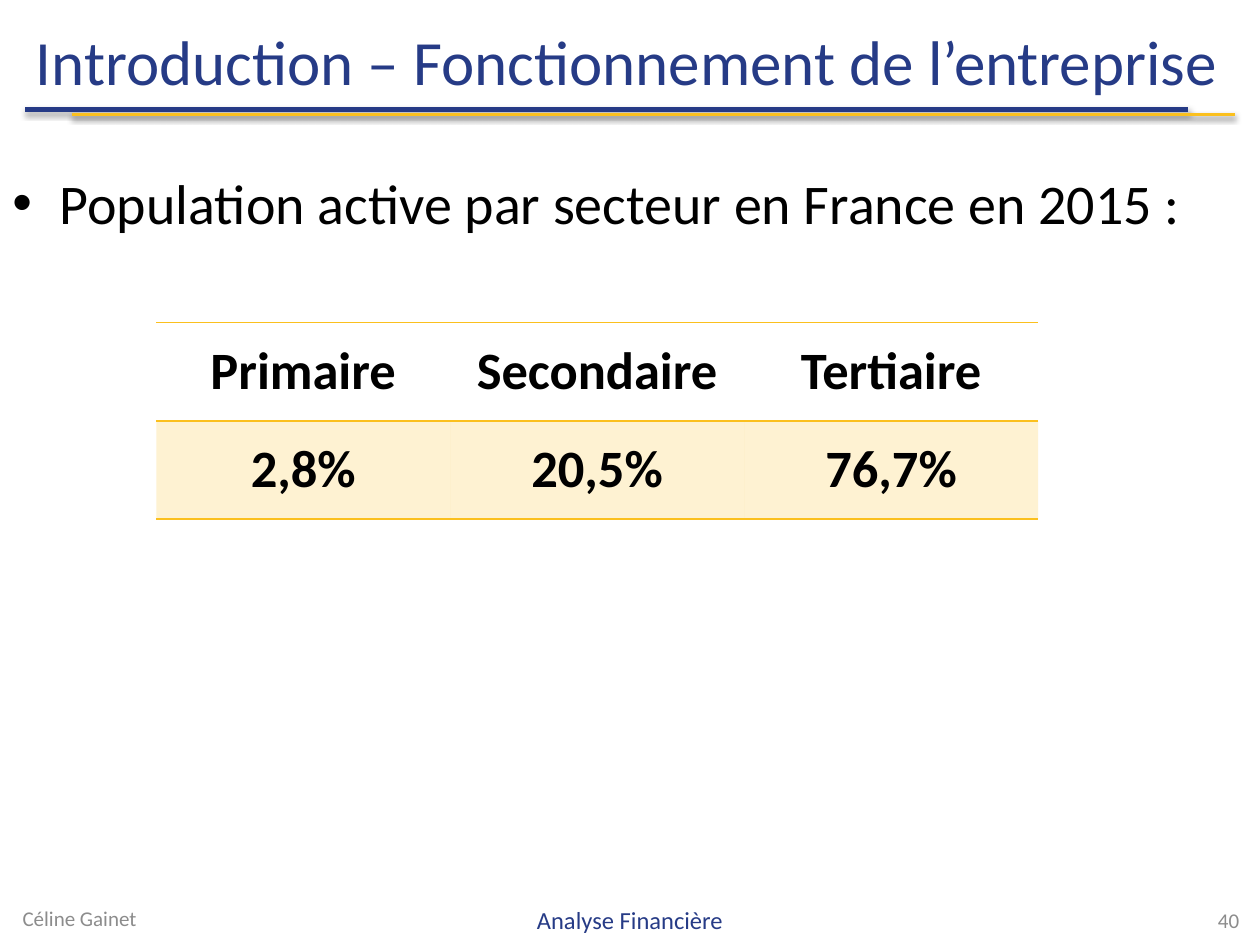
from dataclasses import dataclass

from lxml import etree
from pptx import Presentation
from pptx.dml.color import RGBColor
from pptx.enum.shapes import MSO_CONNECTOR
from pptx.enum.text import MSO_ANCHOR, PP_ALIGN
from pptx.oxml.ns import qn
from pptx.util import Pt

STRAIGHT = MSO_CONNECTOR.STRAIGHT
TOP, MIDDLE = MSO_ANCHOR.TOP, MSO_ANCHOR.MIDDLE
LEFT, CENTER, RIGHT = PP_ALIGN.LEFT, PP_ALIGN.CENTER, PP_ALIGN.RIGHT

FONT = "Calibri"
COLORS = {"navy": "263B86", "gold": "FBC01E", "gray": "8C8C8C", "black": "000000"}
NO_STYLE = "{2D5ABB26-0587-4C30-8999-92F81FD0307C}"


@dataclass
class Rule:
    x1: float
    x2: float
    y: float
    color: str
    width: float


@dataclass
class Label:
    text: str
    left: float
    top: float
    width: float
    height: float
    size: float
    color: str
    align: PP_ALIGN = LEFT
    anchor: MSO_ANCHOR = MIDDLE
    margin: float = 0
    indent: float = 0
    bullet: bool = False


RULES = [
    Rule(14.4, 679, 62.6, "navy", 3),
    Rule(41, 705.6, 65.5, "gold", 2),
]
LABELS = [
    Label("Population active par secteur en France en 2015 :", 0, 85, 720, 455,
          32, "black", anchor=TOP, margin=27, indent=-27, bullet=True),
    Label("Introduction – Fonctionnement de l’entreprise", 0, 1.5, 720, 65.5,
          36, "navy", margin=13.5),
    Label("Céline Gainet", 5.8, 510.5, 168, 28.8, 12, "gray"),
    Label("Analyse Financière", 246, 511.2, 228, 28.8, 14, "navy", CENTER),
    Label("40", 547.2, 511.2, 168, 28.8, 12, "gray", RIGHT),
]
SECTORS = [
    ["Primaire", "Secondaire", "Tertiaire"],
    ["2,8%", "20,5%", "76,7%"],
]
TABLE_LEFT, TABLE_TOP, COL_WIDTH, ROW_HEIGHT = 89.3, 184.3, 168, 56.2


def rgb(name: str) -> RGBColor:
    return RGBColor.from_string(COLORS[name])


def sub(parent, tag: str, **attrs):
    return etree.SubElement(parent, qn(tag), attrs)


def add_run(p, text: str, size: float, color: str, bold: bool = False) -> None:
    r = p.add_run()
    r.text = text
    r.font.name, r.font.size, r.font.bold = FONT, Pt(size), bold
    r.font.color.rgb = rgb(color)


def draw_rule(s, rule: Rule) -> None:
    """Draw a horizontal line with a soft shadow below it."""
    line = s.shapes.add_connector(STRAIGHT, Pt(rule.x1), Pt(rule.y), Pt(rule.x2), Pt(rule.y))
    line.line.color.rgb = rgb(rule.color)
    line.line.width = Pt(rule.width)
    effects = sub(line._element.spPr, "a:effectLst")
    shadow = sub(effects, "a:outerShdw", blurRad=str(Pt(3.1)), dist=str(Pt(1.6)),
                 dir="5400000", rotWithShape="0")
    sub(sub(shadow, "a:srgbClr", val=COLORS["black"]), "a:alpha", val="38000")


def draw_label(s, label: Label) -> None:
    sp = s.shapes.add_textbox(Pt(label.left), Pt(label.top), Pt(label.width), Pt(label.height))
    tf = sp.text_frame
    tf.word_wrap = True
    tf.vertical_anchor = label.anchor
    p = tf.paragraphs[0]
    p.alignment = label.align
    pPr = p._p.get_or_add_pPr()
    pPr.set("marL", str(Pt(label.margin)))
    pPr.set("indent", str(Pt(label.indent)))
    if label.bullet:
        sub(pPr, "a:buFont", typeface="Arial")
        sub(pPr, "a:buChar", char="•")
        p.line_spacing = 1.2
        p.space_after = Pt(18)
    add_run(p, label.text, label.size, label.color)


def style_cell(cell, row: int) -> None:
    """Set gold horizontal borders, and a pale gold fill below the header."""
    if row:
        cell.fill.solid()
        cell.fill.fore_color.rgb = rgb("gold")
    else:
        cell.fill.background()
    tcPr = cell._tc.get_or_add_tcPr()
    for clr in tcPr.iter(qn("a:srgbClr")):
        sub(clr, "a:alpha", val="20000")
    for i, side in enumerate(("a:lnT", "a:lnB")):
        ln = sub(tcPr, side, w=str(Pt(1)))
        sub(sub(ln, "a:solidFill"), "a:srgbClr", val=COLORS["gold"])
        tcPr.insert(i, ln)


def draw_table(s, rows: list[list[str]]) -> None:
    n_rows, n_cols = len(rows), len(rows[0])
    table = s.shapes.add_table(n_rows, n_cols, Pt(TABLE_LEFT), Pt(TABLE_TOP),
                               Pt(COL_WIDTH * n_cols), Pt(ROW_HEIGHT * n_rows)).table
    table.first_row = table.horz_banding = False
    table._tbl.tblPr.find(qn("a:tableStyleId")).text = NO_STYLE
    for i, row in enumerate(rows):
        for j, text in enumerate(row):
            cell = table.cell(i, j)
            cell.vertical_anchor = MIDDLE
            style_cell(cell, i)
            p = cell.text_frame.paragraphs[0]
            p.alignment = CENTER
            add_run(p, text, 30, "black", bold=True)


def main() -> None:
    prs = Presentation()
    prs.slide_width, prs.slide_height = Pt(720), Pt(540)
    s = prs.slides.add_slide(prs.slide_layouts[6])
    for rule in RULES:
        draw_rule(s, rule)
    for label in LABELS:
        draw_label(s, label)
    draw_table(s, SECTORS)
    prs.save("out.pptx")


if __name__ == "__main__":
    main()
